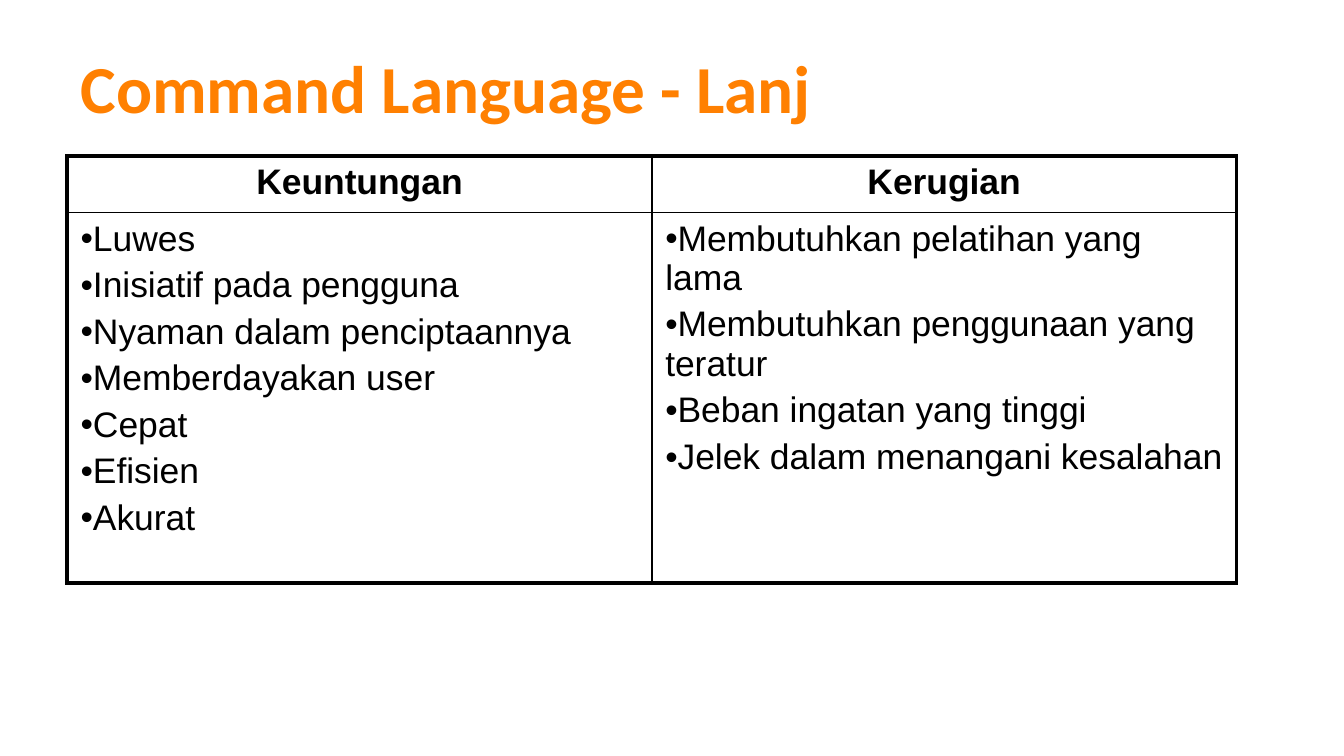
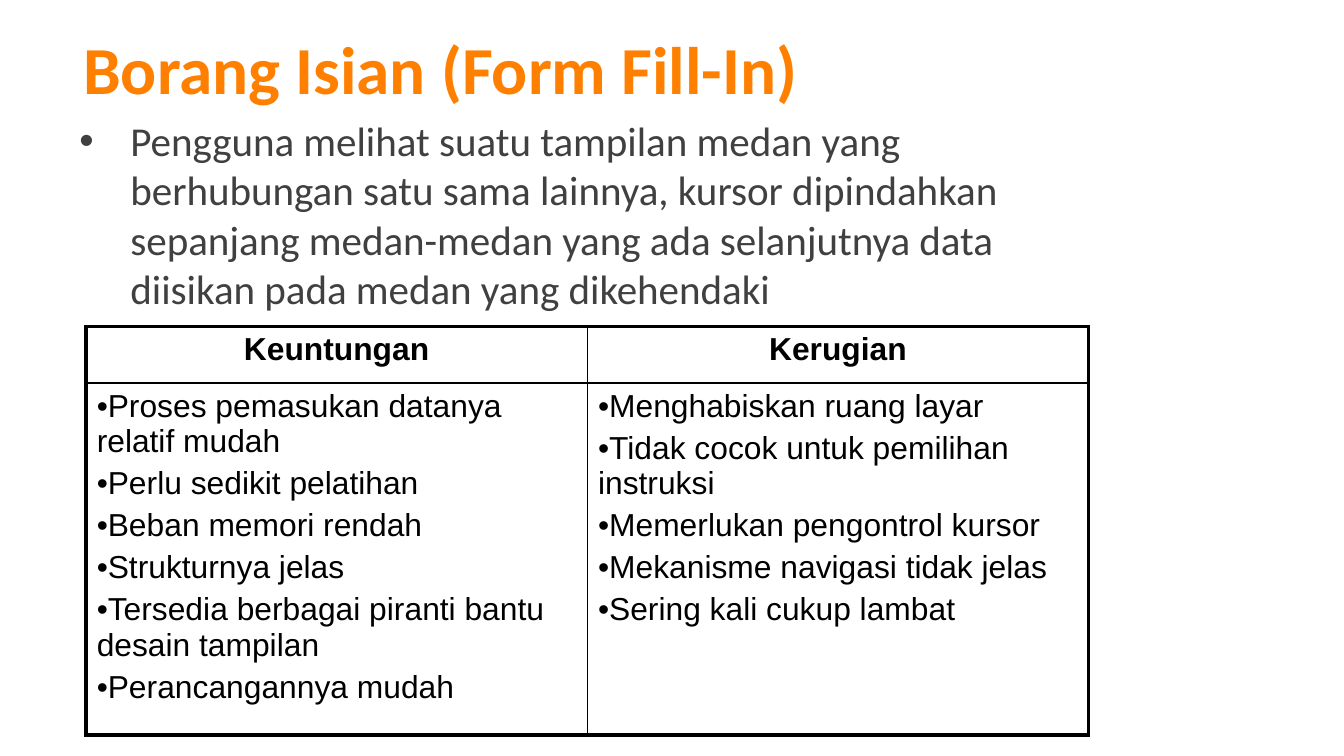
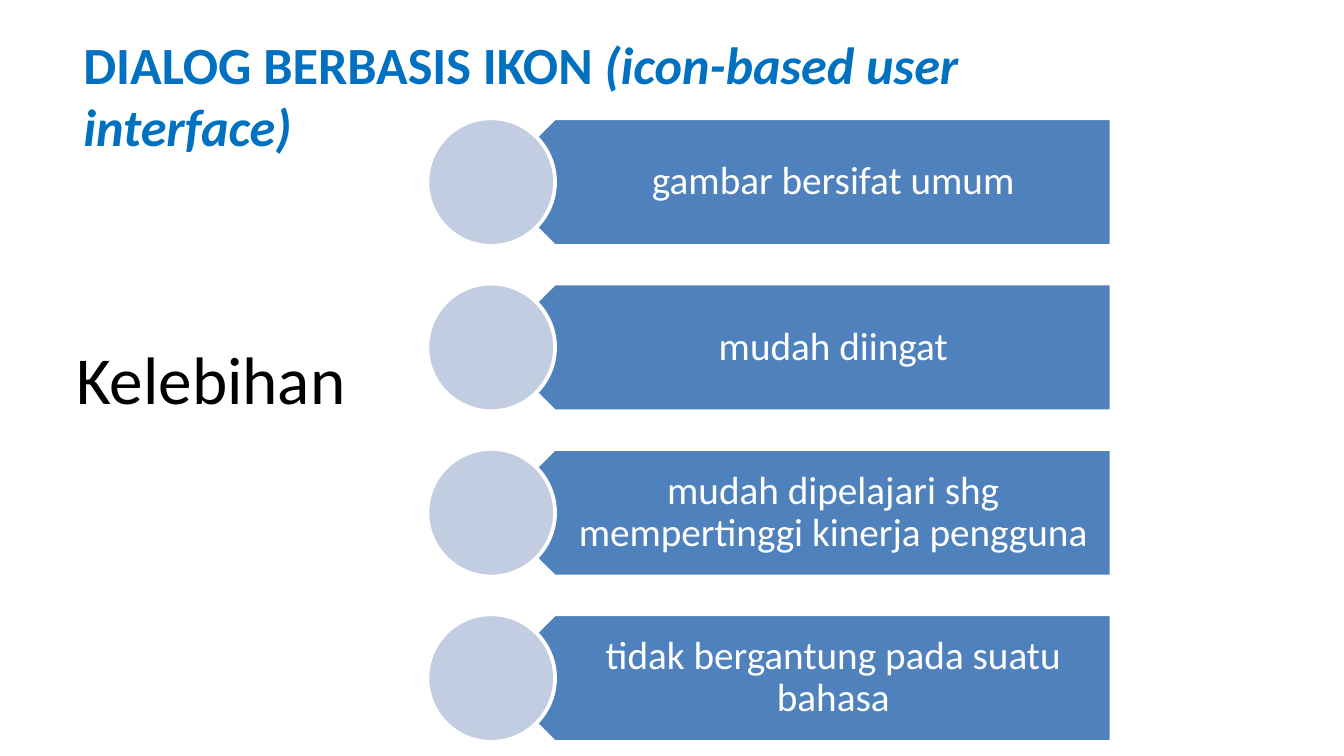
from dataclasses import dataclass

from lxml import etree
from pptx import Presentation
from pptx import util as u
from pptx.dml.color import RGBColor
from pptx.enum import shapes, text
from pptx.oxml import ns


@dataclass(frozen=True)
class Theme:
    orange: str = "FF8001"
    blue: str = "0070C0"
    grey: str = "404040"
    black: str = "000000"
    white: str = "FFFFFF"
    bar: str = "4F81BD"
    disc: str = "C2CDE1"
    sans: str = "Calibri"
    grid: str = "Arial"
    large: int = 36
    title: int = 28
    body: int = 22
    label: int = 21
    thick: float = 2.25
    thin: float = 1
    edge: float = 2


THEME = Theme()
WIDE = u.Inches(10)
HIGH = WIDE * 9 // 16
CENTER = text.PP_ALIGN.CENTER


# Lengths: percent of the slide's width and height
def across(share):
    return u.Emu(round(WIDE * share / 100))


def down(share):
    return u.Emu(round(HIGH * share / 100))


def area(x, y, w, h):
    return across(x), down(y), across(w), down(h)


# Text
def style(para, size, color, font=THEME.sans, bold=False):
    for run in para.runs:
        run.font.size = u.Pt(size)
        run.font.name = font
        run.font.bold = bold
        run.font.color.rgb = RGBColor.from_string(color)


def bullet(para, indent=0):
    props = para._p.get_or_add_pPr()
    props.set("marL", str(u.Inches(indent)))
    props.set("indent", str(-u.Inches(indent)))
    etree.SubElement(props, ns.qn("a:buFont")).set("typeface", "Arial")
    etree.SubElement(props, ns.qn("a:buChar")).set("char", "•")


def place(shape, spot):
    shape.left, shape.top, shape.width, shape.height = spot


def heading(slide, spot, parts, size=THEME.large, color=THEME.orange):
    """Fill the title; every part after the first is italic."""
    title = slide.shapes.title
    place(title, spot)
    frame = title.text_frame
    frame.word_wrap = True
    frame.auto_size = text.MSO_AUTO_SIZE.NONE
    frame.vertical_anchor = text.MSO_ANCHOR.MIDDLE
    para = frame.paragraphs[0]
    para.alignment = text.PP_ALIGN.LEFT
    for i, part in enumerate(parts):
        run = para.add_run()
        run.text = part
        run.font.italic = i > 0
    style(para, size, color, bold=True)


def note(slide, spot, words, size, color):
    """Add a centred text box."""
    frame = slide.shapes.add_textbox(*spot).text_frame
    frame.word_wrap = True
    frame.text = words
    para = frame.paragraphs[0]
    para.alignment = CENTER
    style(para, size, color)
    return frame


# Table of gains and losses
def border(cell, widths):
    props = cell._tc.get_or_add_tcPr()
    for i, (side, width) in enumerate(zip("LRTB", widths)):
        line = etree.Element(ns.qn(f"a:ln{side}"), w=str(u.Pt(width)))
        fill = etree.SubElement(line, ns.qn("a:solidFill"))
        etree.SubElement(fill, ns.qn("a:srgbClr"), val=THEME.black)
        props.insert(i, line)


def fill_cell(cell, lines, size, inset, head):
    cell.fill.background()
    cell.margin_left = cell.margin_right = u.Inches(inset)
    cell.margin_top = cell.margin_bottom = u.Inches(inset / 2)
    frame = cell.text_frame
    frame.text = "\n".join(lines)
    for i, para in enumerate(frame.paragraphs):
        if head:
            para.alignment = CENTER
        else:
            bullet(para)
        if i:
            para.space_before = u.Pt(size / 5)
        style(para, size, THEME.black, THEME.grid, head)


def compare(slide, spot, heights, size, inset, gains, losses):
    table = slide.shapes.add_table(2, 2, *spot).table
    table.first_row = table.horz_banding = False
    for row, height in zip(table.rows, heights):
        row.height = down(height)
    rows = ((["Keuntungan"], ["Kerugian"]), (gains, losses))
    outer, inner = THEME.thick, THEME.thin
    for r, row in enumerate(rows):
        for c, lines in enumerate(row):
            cell = table.cell(r, c)
            fill_cell(cell, lines, size, inset, r == 0)
            border(cell, ((inner if c else outer), (outer if c else inner),
                          (inner if r else outer), (outer if r else inner)))


# Bar with a disc at its pointed end
def solid(slide, kind, spot, color):
    shape = slide.shapes.add_shape(kind, *spot)
    shape.shadow.inherit = False
    shape.fill.solid()
    shape.fill.fore_color.rgb = RGBColor.from_string(color)
    shape.line.color.rgb = RGBColor.from_string(THEME.white)
    shape.line.width = u.Pt(THEME.edge)
    return shape


def banner(slide, y, words):
    high = 16.89
    kinds = shapes.MSO_SHAPE
    solid(slide, kinds.PENTAGON, area(36.5, y, 46.2, high),
          THEME.bar).rotation = 180
    frame = note(slide, area(38.8, y, 43.8, high), words,
                 THEME.label, THEME.white)
    frame.vertical_anchor = text.MSO_ANCHOR.MIDDLE
    frame.margin_left, frame.margin_right = u.Inches(0.42), u.Inches(0.16)
    frame.margin_top = frame.margin_bottom = u.Inches(0.09)
    frame.paragraphs[0].line_spacing = 0.9
    solid(slide, kinds.OVAL, area(31.8, y, 9.5, high), THEME.disc)


# Slides
def command(deck):
    slide = deck.slides.add_slide(deck.slide_layouts[5])
    heading(slide, area(5, 4.44, 77.3, 14.04), ["Command Language - Lanj"])
    compare(slide, area(5, 20.62, 87, 56.54), (7.47, 49.07), 19, 0.1,
            ["Luwes", "Inisiatif pada pengguna",
             "Nyaman dalam penciptaannya", "Memberdayakan user",
             "Cepat", "Efisien", "Akurat"],
            ["Membutuhkan pelatihan yang lama",
             "Membutuhkan penggunaan yang teratur",
             "Beban ingatan yang tinggi",
             "Jelek dalam menangani kesalahan"])


def form(deck):
    slide = deck.slides.add_slide(deck.slide_layouts[1])
    heading(slide, area(5.2, 1.96, 77.3, 14.04),
            ["Borang Isian (Form Fill-In)"])
    body = slide.placeholders[1]
    place(body, area(4.9, 14.4, 77.6, 68.27))
    body.text_frame.text = (
        "Pengguna melihat suatu tampilan medan yang berhubungan satu sama "
        "lainnya, kursor dipindahkan sepanjang medan-medan yang ada "
        "selanjutnya data diisikan pada medan yang dikehendaki")
    para = body.text_frame.paragraphs[0]
    bullet(para, 0.38)
    para.space_before = u.Pt(0)
    style(para, THEME.body, THEME.grey)
    compare(slide, area(6.4, 43.2, 74.6, 54.05), (7.47, 46.58), 17, 0.08,
            ["Proses pemasukan datanya relatif mudah",
             "Perlu sedikit pelatihan", "Beban memori rendah",
             "Strukturnya jelas",
             "Tersedia berbagai piranti bantu desain tampilan",
             "Perancangannya mudah"],
            ["Menghabiskan ruang layar",
             "Tidak cocok untuk pemilihan instruksi",
             "Memerlukan pengontrol kursor",
             "Mekanisme navigasi tidak jelas",
             "Sering kali cukup lambat"])


def icons(deck):
    slide = deck.slides.add_slide(deck.slide_layouts[5])
    heading(slide, area(5.2, 5.51, 77.3, 14.04),
            ["DIALOG BERBASIS IKON ", "(icon-based user interface)"],
            THEME.title, THEME.blue)
    perks = ["gambar bersifat umum", "mudah diingat",
             "mudah dipelajari shg mempertinggi kinerja pengguna",
             "tidak bergantung pada suatu bahasa"]
    for i, perk in enumerate(perks):
        banner(slide, 15.64 + 21.87 * i, perk)
    note(slide, area(-1.3, 43.73, 34, 12.62), "Kelebihan",
         THEME.large, THEME.black)


def main():
    deck = Presentation()
    deck.slide_width, deck.slide_height = WIDE, HIGH
    command(deck)
    form(deck)
    icons(deck)
    deck.save("out.pptx")


if __name__ == "__main__":
    main()
